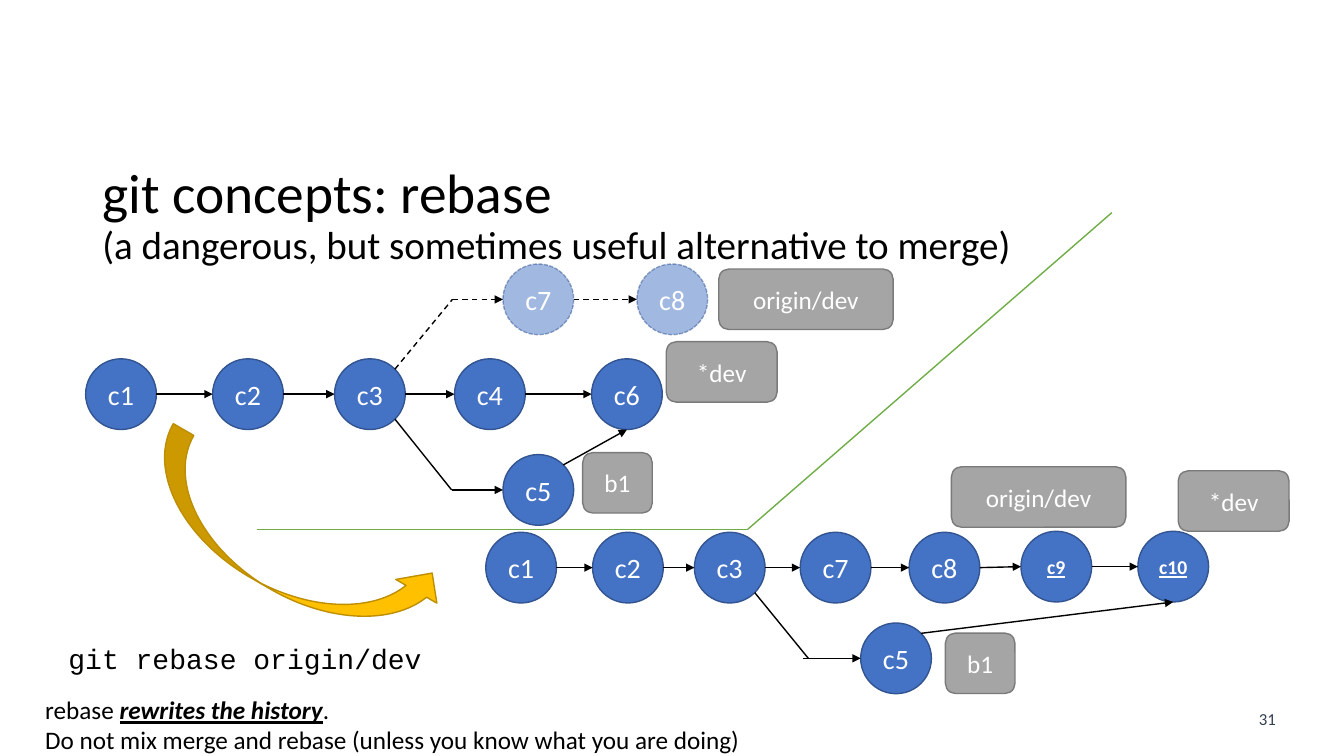
from collections import namedtuple
from lxml.etree import SubElement
from pptx import Presentation
from pptx.dml.color import RGBColor
from pptx.enum.dml import MSO_LINE
from pptx.enum.shapes import MSO_CONNECTOR, MSO_SHAPE
from pptx.enum.text import MSO_ANCHOR, MSO_AUTO_SIZE, PP_ALIGN
from pptx.oxml.ns import qn
from pptx.util import Pt

BLACK = RGBColor(0x00, 0x00, 0x00)
WHITE = RGBColor(0xFF, 0xFF, 0xFF)
BLUE = RGBColor(0x44, 0x72, 0xC4)
NAVY = RGBColor(0x32, 0x54, 0x91)
GREY = RGBColor(0xA5, 0xA5, 0xA5)
DARK_GREY = RGBColor(0x7A, 0x7A, 0x7A)
GOLD = RGBColor(0xFF, 0xC0, 0x00)
DARK_GOLD = RGBColor(0xBD, 0x8E, 0x00)
GREEN = RGBColor(0x70, 0xAD, 0x47)
SLATE = RGBColor(0x33, 0x3F, 0x50)

DIAMETER = 50.5
CORNER = DIAMETER / 2 * 0.7071
LABEL_HEIGHT = 43.2
LABEL_WIDTHS = {"origin/dev": 124.6, "*dev": 79.2, "b1": 49.7}

Box = namedtuple("Box", "left top width height")
History = namedtuple("History", "commits links forks merge labels faded emphasised")

BEFORE = History(
    commits={"c1": (0, 67.7), "c2": (90.7, 67.7), "c3": (177.8, 67.7), "c4": (263.5, 67.7),
             "c6": (361.4, 67.7), "c5": (298.1, 136.1), "c7": (298.1, 0), "c8": (393.8, 0)},
    links=["c1 c2", "c2 c3", "c3 c4", "c4 c6", "c7 c8"],
    forks=[("c5", 261.4, 261.4), ("c7", 262, 262)],
    merge="c6",
    labels={"*dev": (414.7, 55.5), "b1": (355, 134.7), "origin/dev": (452.2, 3.6)},
    faded=("c7", "c8"), emphasised=())
AFTER = History(
    commits={"c1": (0, 46.8), "c2": (76.3, 46.8), "c3": (149, 46.8), "c7": (224.6, 46.8),
             "c8": (302.4, 46.8), "c9": (382.3, 46.1), "c10": (465.8, 46.1), "c5": (267.8, 111.6)},
    links=["c1 c2", "c2 c3", "c3 c7", "c7 c8", "c8 c9", "c9 c10"],
    forks=[("c5", 230.4, 226.8)],
    merge="c10",
    labels={"*dev": (494.6, 2.9), "b1": (328.3, 118.8), "origin/dev": (332.6, 0)},
    faded=(), emphasised=("c9", "c10"))


def add_span(para, text, size, color=BLACK, name="Calibri", **extra):
    span = para.add_run()
    span.text = text
    for key, value in dict(size=Pt(size), name=name, **extra).items():
        setattr(span.font, key, value)
    span.font.color.rgb = color


def add_text_box(page, box, **settings):
    frame = page.shapes.add_textbox(*map(Pt, box)).text_frame
    for key, value in settings.items():
        setattr(frame, key, value)
    return frame


def add_line(page, start, end, color=BLACK, arrow=False, dashed=False):
    line = page.shapes.add_connector(MSO_CONNECTOR.STRAIGHT, *map(Pt, (*start, *end)))
    line.line.width = Pt(1)
    line.line.color.rgb = color
    if dashed:
        line.line.dash_style = MSO_LINE.DASH
    if arrow:
        SubElement(line.line._get_or_add_ln(), qn("a:tailEnd"), type="triangle")
    SubElement(line._element.spPr, qn("a:effectLst"))


def add_filled(page, kind, box, fill, outline):
    shape = page.shapes.add_shape(kind, *map(Pt, box))
    shape.shadow.inherit = False
    shape.fill.solid()
    shape.fill.fore_color.rgb = fill
    shape.line.color.rgb = outline
    shape.line.width = Pt(1)
    return shape


def add_caption(shape, text, size, **extra):
    frame = shape.text_frame
    for key in ("margin_left", "margin_right"):
        setattr(frame, key, 0)
    frame.vertical_anchor = MSO_ANCHOR.MIDDLE
    frame.paragraphs[0].alignment = PP_ALIGN.CENTER
    add_span(frame.paragraphs[0], text, size, WHITE, **extra)


def add_commit(page, box, name, faded, emphasised):
    commit = add_filled(page, MSO_SHAPE.OVAL, box, BLUE, NAVY)
    if faded:
        commit.line.dash_style = MSO_LINE.SQUARE_DOT
        for color in commit._element.spPr.iter(qn("a:srgbClr")):
            SubElement(color, qn("a:alpha"), val="50000")
    if emphasised:
        add_caption(commit, name, 14, bold=True, underline=True)
    else:
        add_caption(commit, name, 20)


def add_history(page, box, history):
    def anchor(name, across, down):
        x, y = history.commits[name]
        return (box.left + x + DIAMETER / 2 + across, box.top + y + DIAMETER / 2 + down)

    radius = DIAMETER / 2
    for name, (x, y) in history.commits.items():
        add_commit(page, Box(box.left + x, box.top + y, DIAMETER, DIAMETER), name,
                   name in history.faded, name in history.emphasised)
    for name, (x, y) in history.labels.items():
        place = Box(box.left + x, box.top + y, LABEL_WIDTHS[name], LABEL_HEIGHT)
        label = add_filled(page, MSO_SHAPE.ROUNDED_RECTANGLE, place, GREY, DARK_GREY)
        add_caption(label, name, 18)
    for link in history.links:
        first, second = link.split()
        add_line(page, anchor(first, radius, 0), anchor(second, -radius, 0),
                 arrow=True, dashed=first in history.faded)
    for name, bend, start in history.forks:
        dashed = name in history.faded
        end = anchor(name, -radius, 0)
        side = -CORNER if dashed else CORNER
        add_line(page, anchor("c3", CORNER, side), (box.left + bend, end[1]), dashed=dashed)
        add_line(page, (box.left + start, end[1]), end, arrow=True, dashed=dashed)
    add_line(page, anchor("c5", CORNER, -CORNER), anchor(history.merge, 0, radius), arrow=True)


def add_title(page, box):
    frame = add_text_box(page, box, word_wrap=True, vertical_anchor=MSO_ANCHOR.MIDDLE)
    para = frame.paragraphs[0]
    para.line_spacing = 0.9
    add_span(para, "git concepts: rebase", 39.6)
    para.add_line_break()
    add_span(para, "(a dangerous, but sometimes useful alternative to merge)", 27.9)


def add_divider(page, box):
    bottom = box.top + box.height
    corner = (box.left + 350.6, bottom)
    add_line(page, (box.left, bottom), corner, GREEN)
    add_line(page, corner, (box.left + box.width, box.top), GREEN)


def add_rebase_arrow(page, box):
    arrow = add_filled(page, MSO_SHAPE.CURVED_RIGHT_ARROW, box, GOLD, DARK_GOLD)
    arrow.rotation = 300


def add_notes_area(page, box):
    settings = dict(word_wrap=False, auto_size=MSO_AUTO_SIZE.SHAPE_TO_FIT_TEXT)
    command = add_text_box(page, Box(box.left + 16.6, box.top, 269.3, 31.5), **settings)
    add_span(command.paragraphs[0], "git rebase origin/dev", 20, name="Courier New")
    advice = add_text_box(page, Box(box.left, box.top + 38.2, box.width, 51), **settings)
    para = advice.paragraphs[0]
    add_span(para, "rebase ", 18)
    add_span(para, "rewrites the history", 18, bold=True, italic=True, underline=True)
    add_span(para, ".", 18)
    add_span(advice.add_paragraph(),
             "Do not mix merge and rebase (unless you know what you are doing)", 18)


def add_page_number(page, box):
    para = add_text_box(page, box, word_wrap=True).paragraphs[0]
    para.alignment = PP_ALIGN.CENTER
    add_span(para, "31", 12, SLATE)


def main():
    deck = Presentation()
    deck.slide_width, deck.slide_height = Pt(960), Pt(540)
    page = deck.slides.add_slide(deck.slide_layouts[6])
    add_page_number(page, Box(888.5, 502.5, 33.8, 21.8))
    add_title(page, Box(66, 129.6, 828, 50.4))
    add_history(page, Box(61.2, 188.6, 576.8, 186.6), BEFORE)
    add_history(page, Box(347, 333.4, 573.8, 162.1), AFTER)
    add_rebase_arrow(page, Box(172.8, 274.3, 67.7, 230.4))
    add_notes_area(page, Box(25.2, 454.3, 517, 89.2))
    add_divider(page, Box(183.6, 151.9, 610.6, 226.1))
    deck.save("out.pptx")


if __name__ == "__main__":
    main()
